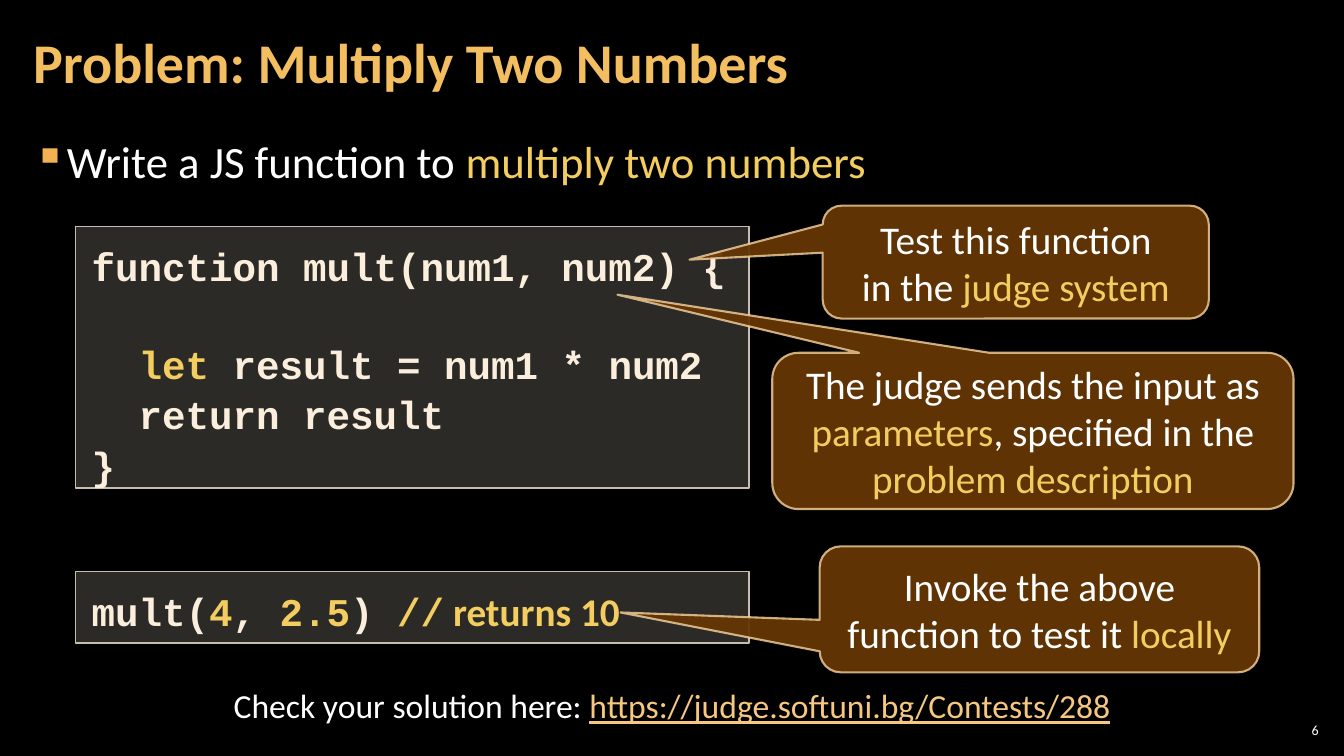
from lxml.etree import SubElement
from pptx import Presentation
from pptx.dml.color import RGBColor
from pptx.enum.shapes import MSO_SHAPE as Shape
from pptx.enum.text import MSO_ANCHOR as Anchor, PP_ALIGN as Align
from pptx.oxml.ns import qn
from pptx.util import Inches, Pt

COLORS = {
    "background": "000000", "white": "FFFFFF", "title": "F3BE60", "accent": "F3CD60",
    "bullet": "F2B254", "code": "FBEEDC", "panel": "D9D5C7", "panel_line": "C7BFAC",
    "callout": "663606", "callout_line": "F8D49E", "link": "F6C781",
}
MONO = {"name": "Courier New", "size": Pt(28), "bold": True}
SANS = {"name": "Calibri"}
FORMATS = {
    "title": ("title", {**SANS, "size": Pt(40), "bold": True}),
    "body": ("white", {**SANS, "size": Pt(32)}),
    "body_key": ("accent", {**SANS, "size": Pt(32)}),
    "code": ("code", MONO),
    "code_key": ("accent", MONO),
    "comment": ("accent", {**SANS, "size": Pt(28), "bold": True}),
    "note": ("white", {**SANS, "size": Pt(28)}),
    "note_key": ("accent", {**SANS, "size": Pt(28)}),
    "footer": ("white", {**SANS, "size": Pt(24)}),
    "link": ("link", {**SANS, "size": Pt(24), "underline": True}),
    "number": ("white", {**SANS, "size": Pt(10)}),
}


def rgb(key):
    """Return the named colour."""
    return RGBColor.from_string(COLORS[key])


def set_alpha(fill, percent):
    """Give a solid fill or line fill its opacity."""
    color = fill._xPr.find(qn("a:solidFill"))[0]
    SubElement(color, qn("a:alpha"), val=str(percent * 1000))


def write(frame, lines, margins=(0.1, 0.05), anchor=Anchor.TOP, **layout):
    """Fill a text frame with lines of (text, format) runs."""
    side, edge = map(Inches, margins)
    settings = {"word_wrap": True, "vertical_anchor": anchor, "margin_left": side,
                "margin_right": side, "margin_top": edge, "margin_bottom": edge}
    for name, value in settings.items():
        setattr(frame, name, value)
    for index, runs in enumerate(lines):
        paragraph = frame.add_paragraph() if index else frame.paragraphs[0]
        for name, value in layout.items():
            setattr(paragraph, name, value)
        for text, style in runs:
            run = paragraph.add_run()
            run.text = text
            color, font = FORMATS[style]
            for name, value in font.items():
                setattr(run.font, name, value)
            run.font.color.rgb = rgb(color)


def add_text(slide, box, lines, **layout):
    """Place a plain text box and return its text frame."""
    frame = slide.shapes.add_textbox(*map(Inches, box)).text_frame
    write(frame, lines, **layout)
    return frame


def add_panel(slide, kind, box, fill, line, width, opacity):
    """Place a translucent outlined shape."""
    panel = slide.shapes.add_shape(kind, *map(Inches, box))
    panel.shadow.inherit = False
    panel.fill.solid()
    panel.fill.fore_color.rgb = rgb(fill)
    set_alpha(panel.fill, opacity)
    panel.line.color.rgb = rgb(line)
    panel.line.width = Pt(width)
    return panel


def add_code(slide, box, lines):
    """Place a code panel and return its text frame."""
    panel = add_panel(slide, Shape.RECTANGLE, box, "panel", "panel_line", 1, 20)
    write(panel.text_frame, lines, margins=(0.16, 0.12), alignment=Align.LEFT,
          line_spacing=1.07)
    return panel.text_frame


def add_callout(slide, box, tip, lines):
    """Place a callout whose tail ends at the tip, given relative to its centre."""
    callout = add_panel(slide, Shape.ROUNDED_RECTANGULAR_CALLOUT, box,
                        "callout", "callout_line", 1.5, 95)
    set_alpha(callout.line.fill, 80)
    for index, value in enumerate((*tip, 0.167)):
        callout.adjustments[index] = value
    write(callout.text_frame, lines, anchor=Anchor.MIDDLE, alignment=Align.CENTER)


def add_task(slide, box):
    """Place the bulleted task statement."""
    frame = add_text(slide, box, [], margins=(0.12, 0.04))
    props = frame.paragraphs[0]._p.get_or_add_pPr()
    props.set("marL", str(Inches(0.33)))
    props.set("indent", str(-Inches(0.33)))
    bullet_color = SubElement(props, qn("a:buClr"))
    SubElement(bullet_color, qn("a:srgbClr"), val=COLORS["bullet"])
    SubElement(props, qn("a:buChar"), char="▪")
    write(frame, [[("Write a JS function to ", "body"),
                   ("multiply two numbers", "body_key")]],
          margins=(0.12, 0.04), line_spacing=1.05, space_after=Pt(6))


def main():
    """Build and save the slide."""
    deck = Presentation()
    deck.slide_width, deck.slide_height = Inches(13.33), Inches(7.5)
    slide = deck.slides.add_slide(deck.slide_layouts[6])
    slide.background.fill.solid()
    slide.background.fill.fore_color.rgb = rgb("background")

    add_text(slide, (12.65, 7.14, 0.47, 0.21), [[("6", "number")]],
             margins=(0.04, 0.04), anchor=Anchor.MIDDLE, alignment=Align.RIGHT)
    add_task(slide, (0.21, 1.26, 12.91, 6.09))
    add_text(slide, (0.21, 0.04, 10.47, 1.21),
             [[("Problem: Multiply Two Numbers", "title")]],
             margins=(0.12, 0.04), anchor=Anchor.MIDDLE, line_spacing=0.9)

    function_code = add_code(slide, (0.75, 2.25, 6.68, 2.59), [
        [("function mult(num1, num2) {", "code")],
        [("  let", "code_key"), (" result = num1 * num2", "code")],
        [("  return result", "code")],
        [("}", "code")],
    ])
    function_code.paragraphs[1].space_before = Pt(34)
    add_code(slide, (0.75, 5.67, 6.68, 0.71), [[
        ("mult(", "code"), ("4", "code_key"), (", ", "code"), ("2.5", "code_key"),
        (") ", "code"), ("//", "code_key"), (" returns 10", "comment"),
    ]])

    add_callout(slide, (7.66, 3.5, 5.17, 1.55), (-0.797, -0.872), [[
        ("The judge sends the input as ", "note"), ("parameters", "note_key"),
        (", specified in the ", "note"), ("problem description", "note_key"),
    ]])
    add_callout(slide, (8.13, 5.42, 4.36, 1.25), (-0.953, 0.025), [[
        ("Invoke the above function to test it ", "note"), ("locally", "note_key"),
    ]])
    add_text(slide, (0.89, 6.75, 11.55, 0.5), [[
        ("Check your solution here: ", "footer"),
        ("https://judge.softuni.bg/Contests/288", "link"),
    ]], alignment=Align.CENTER)
    add_callout(slide, (8.16, 2.04, 3.83, 1.12), (-0.845, -0.021), [
        [("Test this function", "note")],
        [("in the ", "note"), ("judge system", "note_key")],
    ])
    deck.save("out.pptx")


if __name__ == "__main__":
    main()
